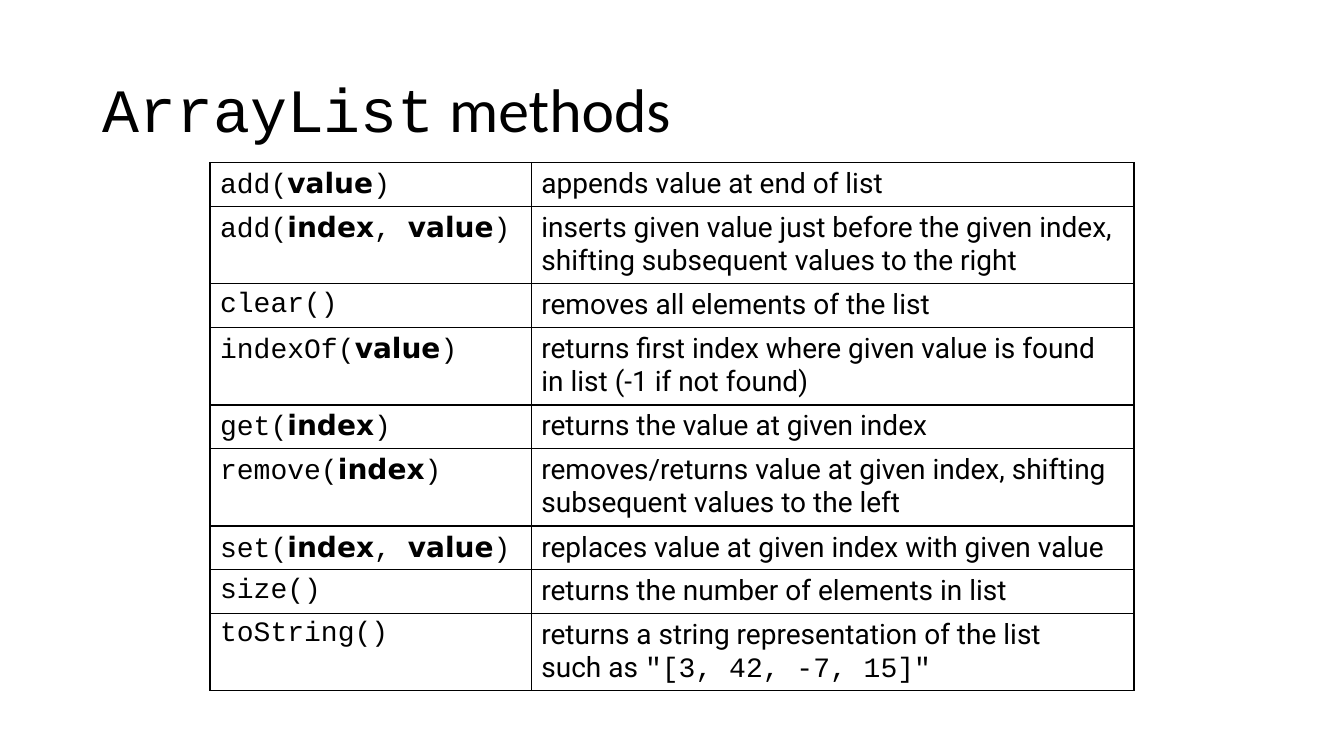
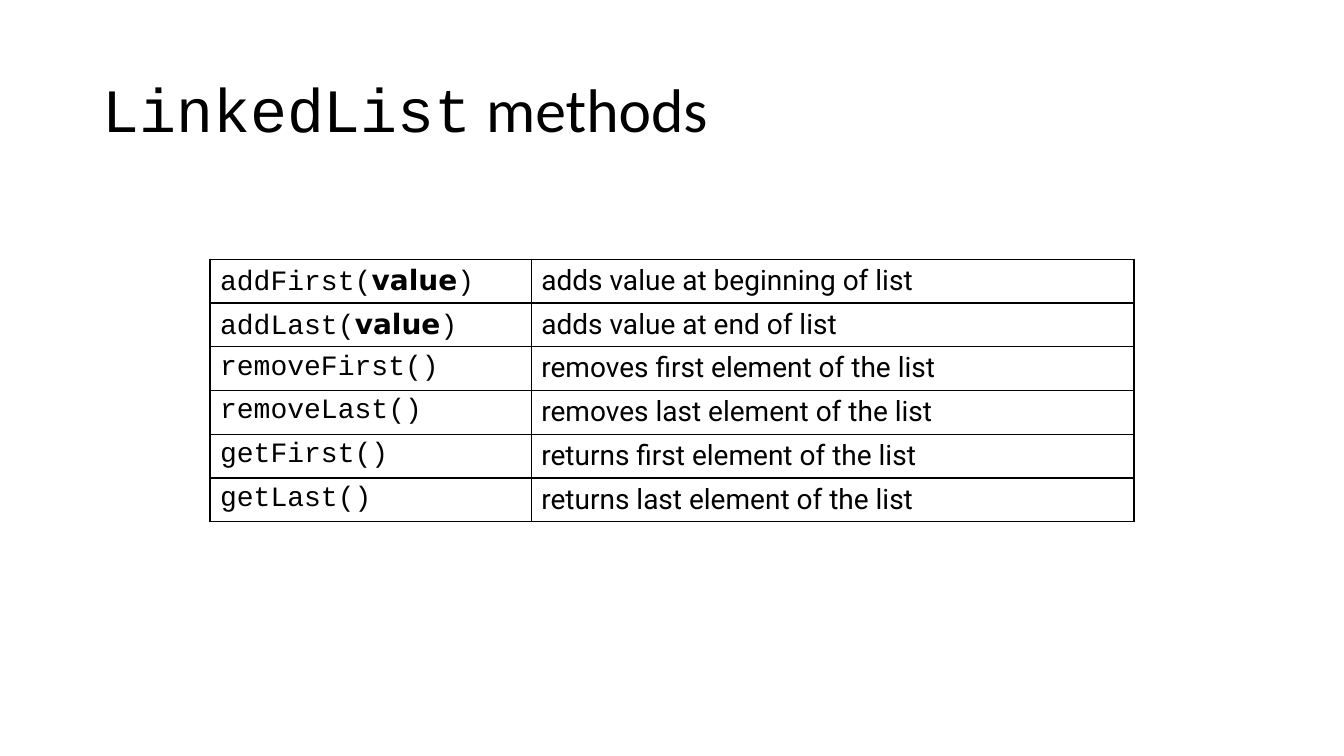
from dataclasses import dataclass

from lxml.etree import SubElement as Sub
from pptx import Presentation
from pptx.dml.color import RGBColor as Rgb
from pptx.enum.text import MSO_ANCHOR as Anchor
from pptx.oxml.ns import qn
from pptx.slide import Slide
from pptx.table import _Cell as Cell
from pptx.text.text import _Paragraph as Para
from pptx.util import Emu, Pt

# Shared look
COLORS = {"ink": "000000", "paper": "FFFFFF"}
CODE, PARAM, BODY, HEAD = "Courier New", "DejaVu Sans", "Roboto", "Calibri"
TITLE_SIZE, CELL_SIZE = 44, 20

# Layout in px, 96 to the inch
SCALE = 9525
WIDTH, HEIGHT = 1280, 720
TITLE_BOX = (88, 38, 1104, 139)
LEFT = 200
COLS = (306, 574)
ROWS = {1: 41, 2: 72}


@dataclass(frozen=True)
class Method:
    name: str
    args: tuple[str, ...]
    note: str  # backticks mark code, a newline starts a paragraph
    lines: int = 1


@dataclass(frozen=True)
class Page:
    kind: str
    top: int
    methods: tuple[Method, ...]


PAGES = (
    Page("ArrayList", 155, (
        Method("add", ("value",), "appends value at end of list"),
        Method("add", ("index", "value"),
               "inserts given value just before the given index, "
               "shifting subsequent values to the right", 2),
        Method("clear", (), "removes all elements of the list"),
        Method("indexOf", ("value",),
               "returns first index where given value is found "
               "in list (-1 if not found)", 2),
        Method("get", ("index",), "returns the value at given index"),
        Method("remove", ("index",),
               "removes/returns value at given index, shifting "
               "subsequent values to the left", 2),
        Method("set", ("index", "value"),
               "replaces value at given index with given value"),
        Method("size", (), "returns the number of elements in list"),
        Method("toString", (),
               "returns a string representation of the list\n"
               'such as `"[3, 42, -7, 15]"`', 2),
    )),
    Page("LinkedList", 247, (
        Method("addFirst", ("value",), "adds value at beginning of list"),
        Method("addLast", ("value",), "adds value at end of list"),
        Method("removeFirst", (), "removes first element of the list"),
        Method("removeLast", (), "removes last element of the list"),
        Method("getFirst", (), "returns first element of the list"),
        Method("getLast", (), "returns last element of the list"),
    )),
)


def px(n: int) -> Emu:
    return Emu(n * SCALE)


def add_run(para: Para, text: str, face: str, size: int = CELL_SIZE,
            bold: bool = False) -> None:
    run = para.add_run()
    run.text = text
    font = run.font
    font.name, font.size, font.bold = face, Pt(size), bold
    font.color.rgb = Rgb.from_string(COLORS["ink"])


def add_title(slide: Slide, kind: str) -> None:
    frame = slide.shapes.add_textbox(*map(px, TITLE_BOX)).text_frame
    frame.word_wrap = True
    frame.vertical_anchor = Anchor.MIDDLE
    para = frame.paragraphs[0]
    para.line_spacing = 0.9
    add_run(para, kind, CODE, TITLE_SIZE)
    add_run(para, " methods", HEAD, TITLE_SIZE)


def style_cell(cell: Cell) -> None:
    props = cell._tc.get_or_add_tcPr()
    for side in ("lnL", "lnR", "lnT", "lnB"):
        line = Sub(props, qn(f"a:{side}"), w=str(Pt(1)))
        fill = Sub(line, qn("a:solidFill"))
        Sub(fill, qn("a:srgbClr"), val=COLORS["ink"])
    cell.fill.solid()
    cell.fill.fore_color.rgb = Rgb.from_string(COLORS["paper"])


def write_call(cell: Cell, method: Method) -> None:
    para = cell.text_frame.paragraphs[0]
    lead = f"{method.name}("
    for arg in method.args:
        add_run(para, lead, CODE)
        add_run(para, arg, PARAM, bold=True)
        lead = ", "
    add_run(para, ")" if method.args else f"{lead})", CODE)


def write_note(cell: Cell, note: str) -> None:
    frame = cell.text_frame
    for i, line in enumerate(note.split("\n")):
        para = frame.add_paragraph() if i else frame.paragraphs[0]
        for j, part in enumerate(line.split("`")):
            if part:
                add_run(para, part, CODE if j % 2 else BODY)


def add_methods(slide: Slide, page: Page) -> None:
    heights = [ROWS[m.lines] for m in page.methods]
    table = slide.shapes.add_table(
        len(heights), len(COLS), px(LEFT), px(page.top),
        px(sum(COLS)), px(sum(heights))).table
    table.first_row = table.horz_banding = False
    for col, width in zip(table.columns, COLS):
        col.width = px(width)
    for row, height, method in zip(table.rows, heights, page.methods):
        row.height = px(height)
        call, note = row.cells
        write_call(call, method)
        write_note(note, method.note)
        for cell in (call, note):
            style_cell(cell)


def main() -> None:
    deck = Presentation()
    deck.slide_width, deck.slide_height = px(WIDTH), px(HEIGHT)
    for page in PAGES:
        slide = deck.slides.add_slide(deck.slide_layouts[6])
        add_title(slide, page.kind)
        add_methods(slide, page)
    deck.save("out.pptx")


if __name__ == "__main__":
    main()
